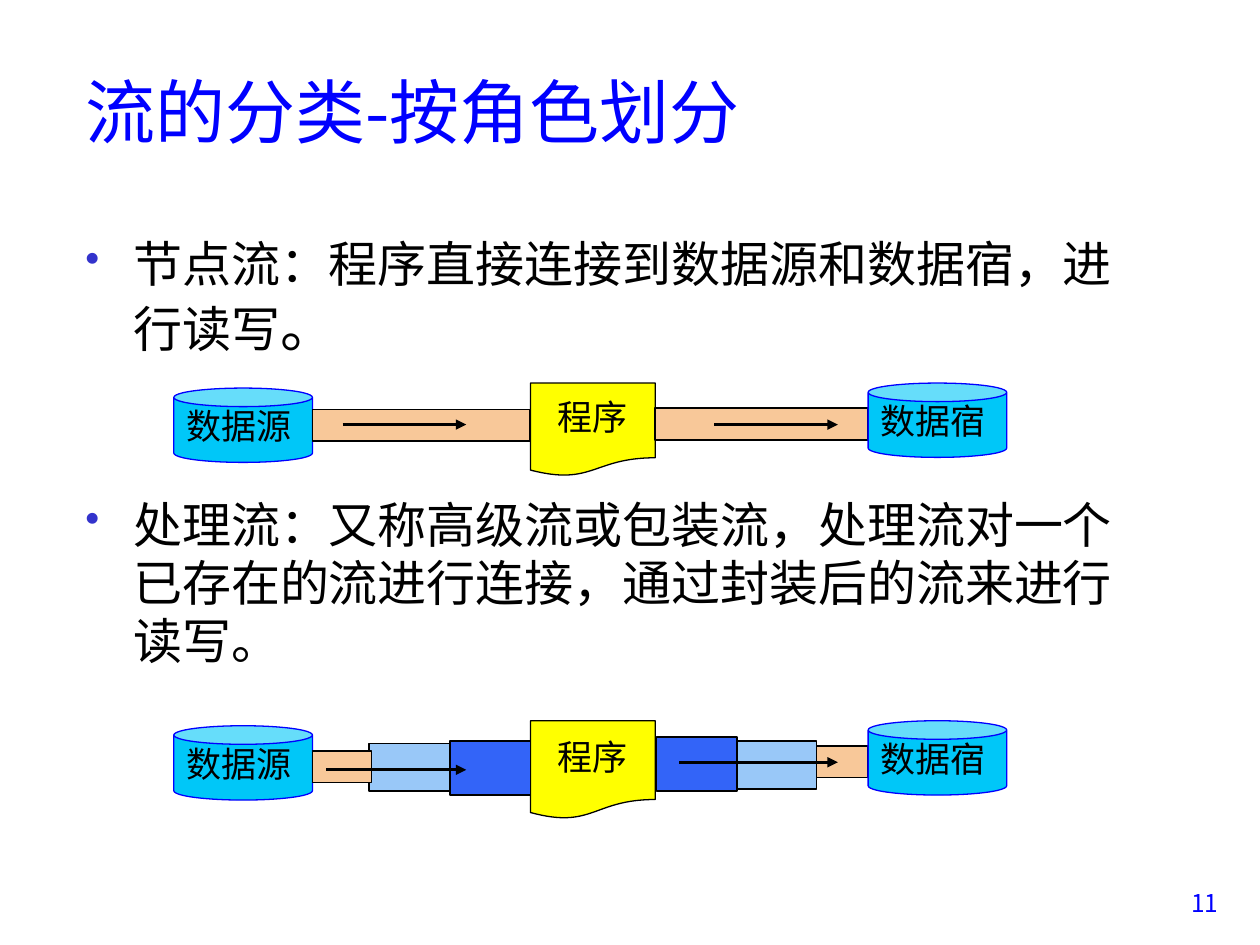
import pptx
import pptx.util
import pptx.dml.color
import pptx.enum.shapes
import pptx.enum.text
import pptx.oxml.ns
from lxml import etree

Inches, Pt = pptx.util.Inches, pptx.util.Pt
SHAPE = pptx.enum.shapes.MSO_SHAPE
ALIGN = pptx.enum.text.PP_ALIGN
ANCHOR = pptx.enum.text.MSO_ANCHOR
qn = pptx.oxml.ns.qn

THEME = {
    "font": "Noto Sans CJK SC",
    "blue": "0000FF", "black": "000000", "bullet": "3333CC",
    "store": "00C7F8", "program": "FFFF00",
    "node": "F8C899", "light": "99C8F8", "deep": "3364F8",
    "title": 40, "body": 28, "stop": 32, "label": 20, "page": 14,
}

TITLE = "流的分类-按角色划分"
BULLETS = [
    {"runs": [("节点流：程序直接连接到数据源和数据宿，进行读写", "body"), ("。", "stop")],
     "line": 37.7, "before": 0},
    {"runs": [("处理流：又称高级流或包装流，处理流对一个已存在的流进行连接，通过封装后的流来进行读写。", "body")],
     "line": 33.1, "before": 78},
]
PAGE = "11"

STORE_W, STORE_H = 1.1, 0.59
SOURCE_X, PROGRAM_X, SINK_X = 1.38, 4.21, 6.89
PROGRAM_W = 0.99
DIAGRAMS = [
    {"top": 3.04, "program_h": 0.74,
     "pipes": [("node", 2.48, 3.25, 1.73, 0.25), ("node", 5.2, 3.24, 1.69, 0.25)],
     "arrows": [(2.72, 3.7, 3.37), (5.67, 6.65, 3.37)]},
    {"top": 5.72, "program_h": 0.78,
     "pipes": [("light", 2.93, 5.9, 0.64, 0.38), ("deep", 3.57, 5.88, 0.64, 0.43),
               ("light", 5.84, 5.88, 0.64, 0.38), ("deep", 5.21, 5.85, 0.64, 0.43),
               ("node", 2.48, 5.96, 0.47, 0.25), ("node", 6.48, 5.92, 0.41, 0.25)],
     "arrows": [(2.59, 3.7, 6.11), (5.39, 6.65, 6.05)]},
]


def color(name):
    return pptx.dml.color.RGBColor.from_string(THEME[name])


def add_run(p, text, size, ink):
    r = p.add_run()
    r.text = text
    r.font.size = Pt(THEME[size])
    r.font.name = THEME["font"]
    r.font.color.rgb = color(ink)
    etree.SubElement(r._r.get_or_add_rPr(), qn("a:ea"), typeface=THEME["font"])


def add_text(slide, x, y, w, h):
    tf = slide.shapes.add_textbox(Inches(x), Inches(y), Inches(w), Inches(h)).text_frame
    tf.word_wrap = True
    return tf


def add_bullet(p):
    pPr = p._p.get_or_add_pPr()
    pPr.set("marL", str(Inches(0.38)))
    pPr.set("indent", str(Inches(-0.38)))
    clr = etree.SubElement(pPr, qn("a:buClr"))
    etree.SubElement(clr, qn("a:srgbClr"), val=THEME["bullet"])
    etree.SubElement(pPr, qn("a:buSzPct"), val="85000")
    etree.SubElement(pPr, qn("a:buChar"), char="•")


def add_block(group, kind, x, y, w, h, fill, line="black", width=1, label="", align=ALIGN.LEFT):
    sp = group.shapes.add_shape(kind, Inches(x), Inches(y), Inches(w), Inches(h))
    sp.shadow.inherit = False
    sp.fill.solid()
    sp.fill.fore_color.rgb = color(fill)
    sp.line.color.rgb = color(line)
    sp.line.width = Pt(width)
    if label:
        tf = sp.text_frame
        tf.word_wrap = True
        tf.vertical_anchor = ANCHOR.MIDDLE
        p = tf.paragraphs[0]
        p.alignment = align
        p.line_spacing = 0.8
        add_run(p, label, "label", "black")


def add_store(group, x, y, label):
    add_block(group, SHAPE.CAN, x, y, STORE_W, STORE_H, "store", "blue", 0.75, label)


def add_arrow(group, x1, x2, y):
    cx = group.shapes.add_connector(pptx.enum.shapes.MSO_CONNECTOR.STRAIGHT,
                                    Inches(x1), Inches(y), Inches(x2), Inches(y))
    cx.line.color.rgb = color("black")
    cx.line.width = Pt(1.75)
    etree.SubElement(cx.line._get_or_add_ln(), qn("a:tailEnd"), type="triangle")
    etree.SubElement(cx._element.spPr, qn("a:effectLst"))


prs = pptx.Presentation()
prs.slide_width, prs.slide_height = Inches(10), Inches(7.5)
slide = prs.slides.add_slide(prs.slide_layouts[6])

tf = add_text(slide, 0.58, 0.25, 8.5, 1.25)
tf.vertical_anchor = ANCHOR.MIDDLE
add_run(tf.paragraphs[0], TITLE, "title", "blue")

tf = add_text(slide, 0.58, 1.75, 8.5, 5.08)
for i, item in enumerate(BULLETS):
    p = tf.add_paragraph() if i else tf.paragraphs[0]
    p.line_spacing = Pt(item["line"])
    p.space_before = Pt(item["before"])
    add_bullet(p)
    for text, size in item["runs"]:
        add_run(p, text, size, "black")

p = add_text(slide, 9.1, 7, 0.67, 0.5).paragraphs[0]
p.alignment = ALIGN.RIGHT
add_run(p, PAGE, "page", "blue")

for d in DIAGRAMS:
    group = slide.shapes.add_group_shape()
    add_store(group, SOURCE_X, d["top"] + 0.04, "数据源")
    add_block(group, SHAPE.FLOWCHART_DOCUMENT, PROGRAM_X, d["top"], PROGRAM_W, d["program_h"],
              "program", "black", 0.75, "程序", ALIGN.CENTER)
    for fill, x, y, w, h in d["pipes"]:
        add_block(group, SHAPE.RECTANGLE, x, y, w, h, fill)
    add_store(group, SINK_X, d["top"], "数据宿")
    for x1, x2, y in d["arrows"]:
        add_arrow(group, x1, x2, y)

prs.save("out.pptx")
